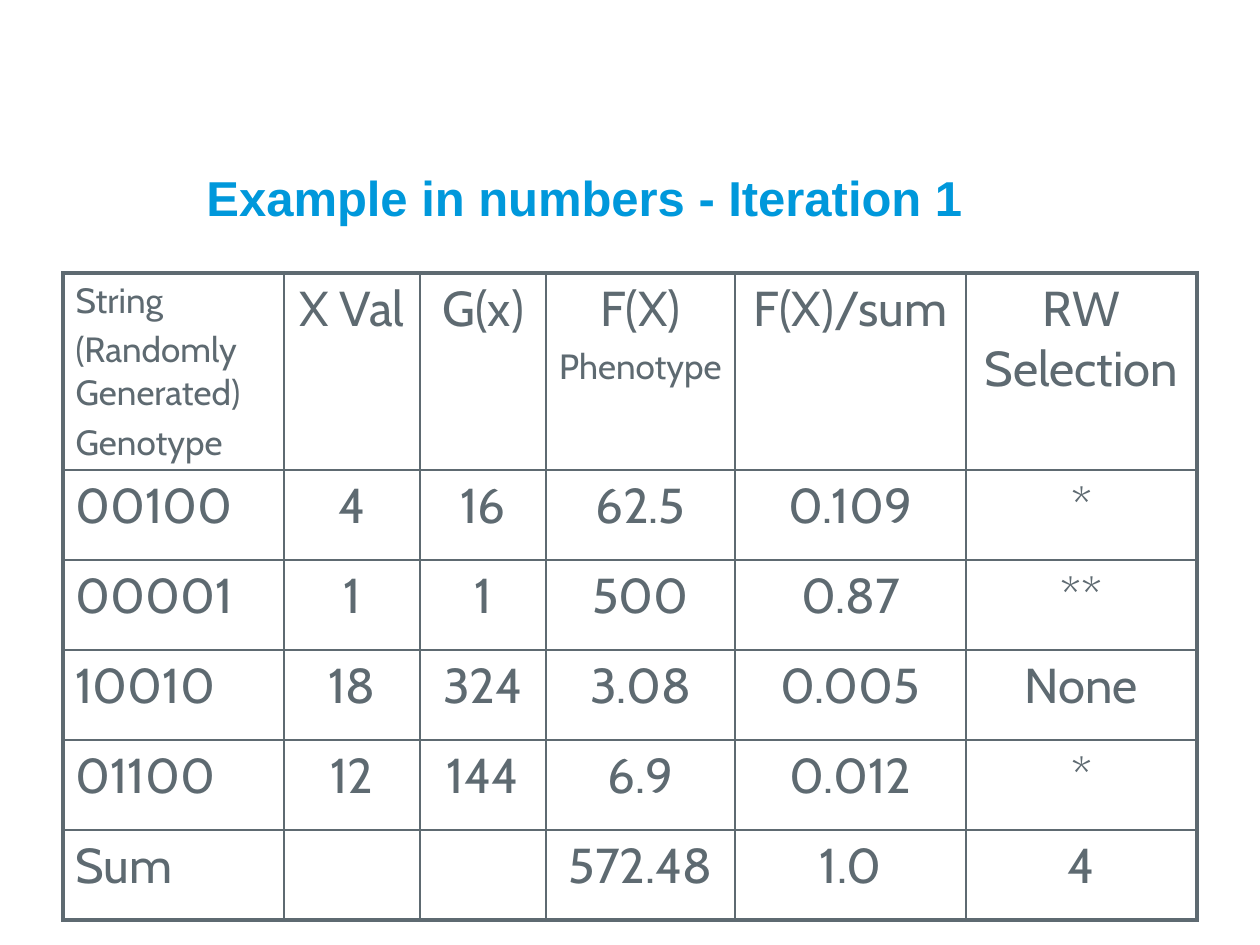
"""Build a slide with the first iteration of a genetic algorithm as a table."""
from dataclasses import dataclass

from lxml.etree import SubElement
from pptx import Presentation
from pptx.dml.color import RGBColor
from pptx.enum.text import MSO_ANCHOR, PP_ALIGN
from pptx.oxml.ns import qn
from pptx.util import Emu, Pt


@dataclass(frozen=True)
class Theme:
    """Colours, fonts, type sizes and line widths of the slide."""
    title_color: str = "0098DB"
    body_color: str = "5E6A71"
    title_font: str = "Arial"
    body_font: str = "Cabin"
    large: int = 28
    small: int = 20
    outer_line: float = 2.25
    inner_line: float = 1


THEME = Theme()
EMU_PER_PX = 914400 / 126
COLUMN_WIDTHS = [221, 136, 126, 189, 231, 231]
ROW_HEIGHTS = [197] + [90] * 5
LARGE, SMALL = THEME.large, THEME.small
HEADER = [
    [("String", SMALL), ("(Randomly Generated)", SMALL), ("Genotype", SMALL)],
    [("X Val", LARGE)],
    [("G(x)", LARGE)],
    [("F(X)", LARGE), ("Phenotype", SMALL)],
    [("F(X)/sum", LARGE)],
    [("RW Selection", LARGE)],
]
RESULTS = [
    ["00100", "4", "16", "62.5", "0.109", "*"],
    ["00001", "1", "1", "500", "0.87", "**"],
    ["10010", "18", "324", "3.08", "0.005", "None"],
    ["01100", "12", "144", "6.9", "0.012", "*"],
    ["Sum", "", "", "572.48", "1.0", "4"],
]


def px(length):
    """Turn a length in pixels into EMU."""
    return Emu(round(length * EMU_PER_PX))


def write_text(para, text, *, size, font=THEME.body_font, color=THEME.body_color,
               bold=False, align=PP_ALIGN.LEFT, space_before=None):
    """Write one formatted span into a paragraph."""
    para.alignment = align
    if space_before is not None:
        para.space_before = Pt(space_before)
    span = para.add_run()
    span.text = text
    span.font.name = font
    span.font.size = Pt(size)
    span.font.bold = bold
    span.font.color.rgb = RGBColor.from_string(color)


def add_title(page, text):
    """Add the title, resting on the bottom of its box."""
    box = page.shapes.add_textbox(px(194), px(96), px(1113), px(137))
    frame = box.text_frame
    frame.word_wrap = True
    frame.vertical_anchor = MSO_ANCHOR.BOTTOM
    write_text(frame.paragraphs[0], text, size=LARGE, font=THEME.title_font,
               color=THEME.title_color, bold=True)


def set_borders(cell, outer_sides):
    """Draw the four cell borders, heavier on the outer sides."""
    properties = cell._tc.get_or_add_tcPr()
    for side in "LRTB":
        width = THEME.outer_line if side in outer_sides else THEME.inner_line
        line = SubElement(properties, qn(f"a:ln{side}"), w=str(Pt(width)))
        fill = SubElement(line, qn("a:solidFill"))
        SubElement(fill, qn("a:srgbClr"), val=THEME.body_color)


def fill_cell(cell, lines, align):
    """Write each line of a cell as its own paragraph."""
    frame = cell.text_frame
    for index, (text, size) in enumerate(lines):
        para = frame.add_paragraph() if index else frame.paragraphs[0]
        write_text(para, text, size=size, align=align,
                   space_before=size * 0.2 if index else 0)


def add_results_table(page):
    """Add the table of genotypes, fitness values and selections."""
    rows = [HEADER] + [[[(text, LARGE)] if text else [] for text in row]
                       for row in RESULTS]
    last_row, last_column = len(rows) - 1, len(COLUMN_WIDTHS) - 1
    table = page.shapes.add_table(
        len(rows), len(COLUMN_WIDTHS), px(63), px(273),
        px(sum(COLUMN_WIDTHS)), px(sum(ROW_HEIGHTS))).table
    table.first_row = table.horz_banding = False
    for column, width in zip(table.columns, COLUMN_WIDTHS):
        column.width = px(width)
    for row, height in zip(table.rows, ROW_HEIGHTS):
        row.height = px(height)
    for r, row in enumerate(rows):
        for c, lines in enumerate(row):
            cell = table.cell(r, c)
            edges = {"L": c == 0, "R": c == last_column,
                     "T": r == 0, "B": r == last_row}
            set_borders(cell, [side for side, outer in edges.items() if outer])
            cell.fill.background()
            fill_cell(cell, lines, PP_ALIGN.CENTER if c else PP_ALIGN.LEFT)


def main():
    """Build and save the deck."""
    deck = Presentation()
    deck.slide_width, deck.slide_height = px(1260), px(945)
    page = deck.slides.add_slide(deck.slide_layouts[6])
    add_title(page, "Example in numbers - Iteration 1")
    add_results_table(page)
    deck.save("out.pptx")


if __name__ == "__main__":
    main()
